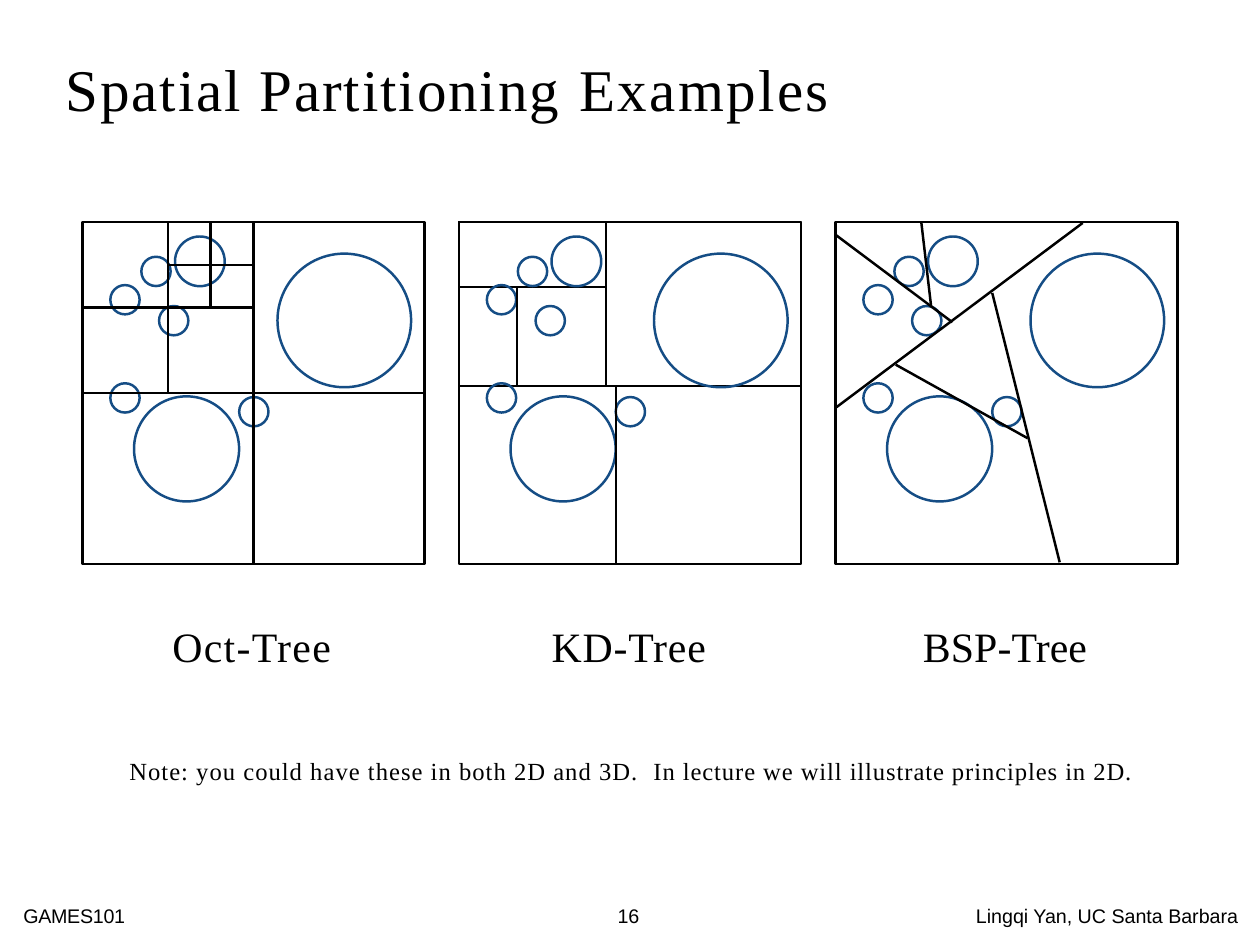
from dataclasses import dataclass

from lxml import etree
from pptx import Presentation
from pptx.dml import color
from pptx.enum import shapes, text
from pptx.oxml import ns
from pptx.slide import Slide
from pptx.util import Pt

BLACK = "000000"
BLUE = "154D85"
SERIF = "Times New Roman"
SIDE = 278
PANEL_LEFT, PANEL_TOP, PANEL_PITCH = 67, 180.5, 306
STROKE = 2


@dataclass(frozen=True)
class Circle:
    x: float
    y: float
    radius: float


@dataclass(frozen=True)
class Split:
    x1: float
    y1: float
    x2: float
    y2: float


@dataclass(frozen=True)
class Region:
    width: float
    height: float


@dataclass(frozen=True)
class Tree:
    splits: list[Split]
    regions: tuple[Region, ...] = ()


def quarter(x: float, y: float, arm: float) -> list[Split]:
    return [Split(x, y - arm, x, y + arm), Split(x - arm, y, x + arm, y)]


SMALL = 11.9
CIRCLES = [
    Circle(212.8, 79.9, 54.3),
    Circle(84.6, 184.3, 42.7),
    Circle(95.4, 31.9, 20.2),
    Circle(139.3, 154.1, SMALL),
    Circle(34.6, 63.1, SMALL),
    Circle(74.2, 80.1, SMALL),
    Circle(59.8, 40.1, SMALL),
    Circle(34.6, 142.9, SMALL),
]

OCT_TREE = Tree(
    quarter(SIDE / 2, SIDE / 2, SIDE / 2)
    + quarter(SIDE / 4, SIDE / 4, SIDE / 4)
    + quarter(SIDE * 3 / 8, SIDE / 8, SIDE / 8)
)
KD_TREE = Tree(
    [Split(127.5, 133.4, 127.5, SIDE), Split(47, 52.8, 47, 133.4)],
    (Region(SIDE, 133.4), Region(119.5, 133.4), Region(119.5, 52.8)),
)
BSP_TREE = Tree([
    Split(0.7, 150.5, 200.9, 0.7),
    Split(95, 81.4, 0.7, 10.8),
    Split(127.4, 57.6, 182.2, 276.5),
    Split(69.8, 0.7, 77.8, 69.1),
    Split(49, 115.9, 156.2, 175.7),
])


def rgb(value: str) -> color.RGBColor:
    return color.RGBColor.from_string(value)


def draw_outline(slide: Slide, kind: shapes.MSO_SHAPE, left: float, top: float,
                 width: float, height: float, stroke: str) -> None:
    outline = slide.shapes.add_shape(kind, Pt(left), Pt(top), Pt(width), Pt(height))
    outline.shadow.inherit = False
    outline.fill.background()
    outline.line.color.rgb = rgb(stroke)
    outline.line.width = Pt(STROKE)


def draw_split(slide: Slide, left: float, top: float, split: Split) -> None:
    line = slide.shapes.add_connector(
        shapes.MSO_CONNECTOR.STRAIGHT,
        Pt(left + split.x1), Pt(top + split.y1),
        Pt(left + split.x2), Pt(top + split.y2),
    )
    line.line.color.rgb = rgb(BLACK)
    line.line.width = Pt(STROKE)
    etree.SubElement(line._element.spPr, ns.qn("a:effectLst"))


def draw_panel(slide: Slide, left: float, top: float, tree: Tree) -> None:
    for region in (Region(SIDE, SIDE), *tree.regions):
        draw_outline(slide, shapes.MSO_SHAPE.RECTANGLE, left, top,
                     region.width, region.height, BLACK)
    for circle in CIRCLES:
        draw_outline(slide, shapes.MSO_SHAPE.OVAL,
                     left + circle.x - circle.radius,
                     top + circle.y - circle.radius,
                     2 * circle.radius, 2 * circle.radius, BLUE)
    for split in tree.splits:
        draw_split(slide, left, top, split)


def write(slide: Slide, runs: list[tuple[str, float]], *, left: float, top: float,
          width: float, height: float, size: float, font: str = SERIF,
          spacing: float = 1.14, tabs: tuple[float, ...] = ()) -> None:
    frame = slide.shapes.add_textbox(Pt(left), Pt(top), Pt(width), Pt(height)).text_frame
    frame.word_wrap = True
    frame.auto_size = text.MSO_AUTO_SIZE.SHAPE_TO_FIT_TEXT
    frame.margin_left = frame.margin_right = frame.margin_top = frame.margin_bottom = 0
    paragraph = frame.paragraphs[0]
    if tabs:
        stops = etree.SubElement(paragraph._p.get_or_add_pPr(), ns.qn("a:tabLst"))
        for position in tabs:
            etree.SubElement(stops, ns.qn("a:tab"), pos=str(Pt(position)), algn="l")
    paragraph.line_spacing = spacing
    for words, tracking in runs:
        run = paragraph.add_run()
        run.text = words
        run.font.name = font
        run.font.size = Pt(size)
        run.font.color.rgb = rgb(BLACK)
        run.font._element.set("spc", str(round(tracking * 100)))


def main() -> None:
    deck = Presentation()
    deck.slide_width, deck.slide_height = Pt(1024), Pt(768)
    slide = deck.slides.add_slide(deck.slide_layouts[6])

    for column, tree in enumerate((OCT_TREE, KD_TREE, BSP_TREE)):
        draw_panel(slide, PANEL_LEFT + column * PANEL_PITCH, PANEL_TOP, tree)

    write(slide, [("Spatial Partitioning ", 1.6), ("Examples", 2)],
          left=53.3, top=34.8, width=633, height=65.5, size=48)
    write(slide, [("Oct-Tree\t", 1.1), ("KD-Tree\t", 0.7), ("BSP-Tree", 0.1)],
          left=140.1, top=499, width=756, height=46, size=34, tabs=(308.2, 610))
    write(slide, [("Note: you could have these in both 2D and 3D.  ", 0.82),
                  ("In lecture we will illustrate principles in 2D.", 0.75)],
          left=105.1, top=611.3, width=823, height=27.4, size=20)
    write(slide, [("GAMES101\t", -0.2), ("16\t", -0.1),
                  ("Lingqi Yan, UC Santa Barbara", 0)],
          left=18.9, top=733.7, width=998, height=20.2, size=16,
          font="Arial", spacing=1.04, tabs=(483.1, 774.2))

    deck.save("out.pptx")


if __name__ == "__main__":
    main()
